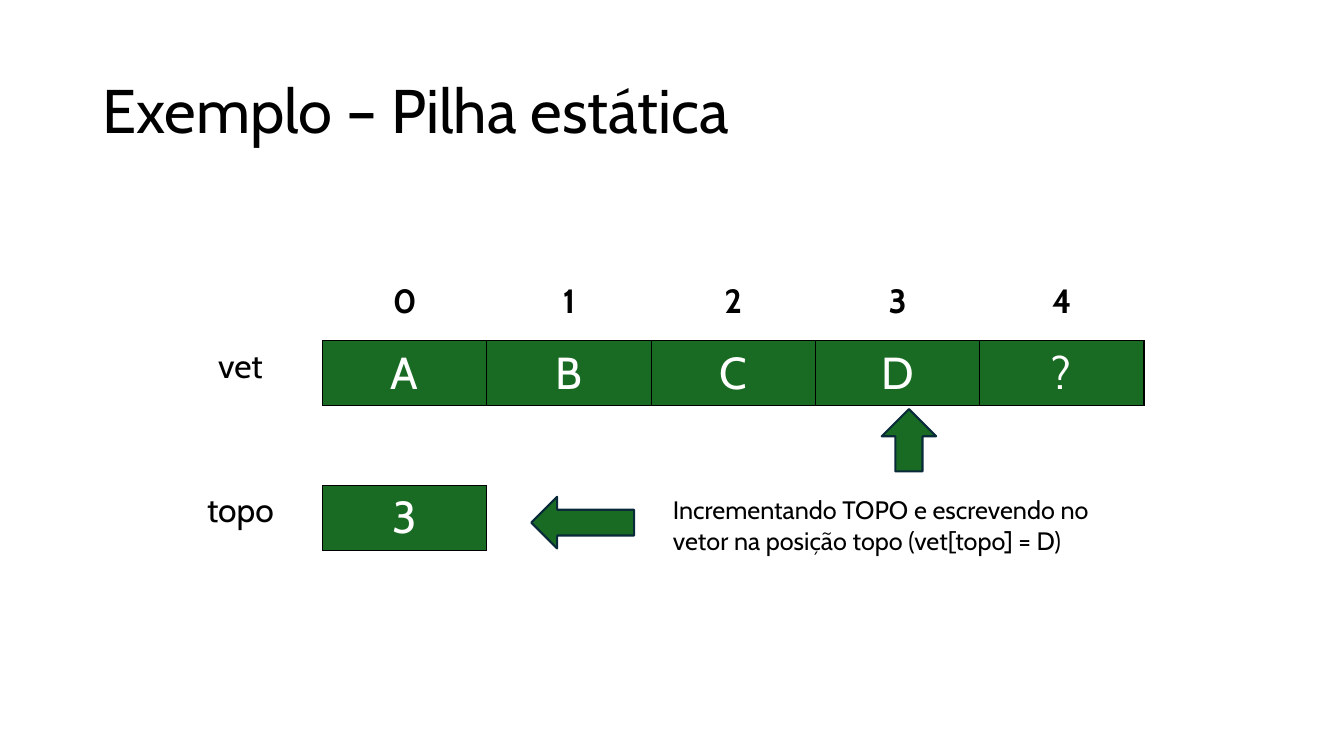
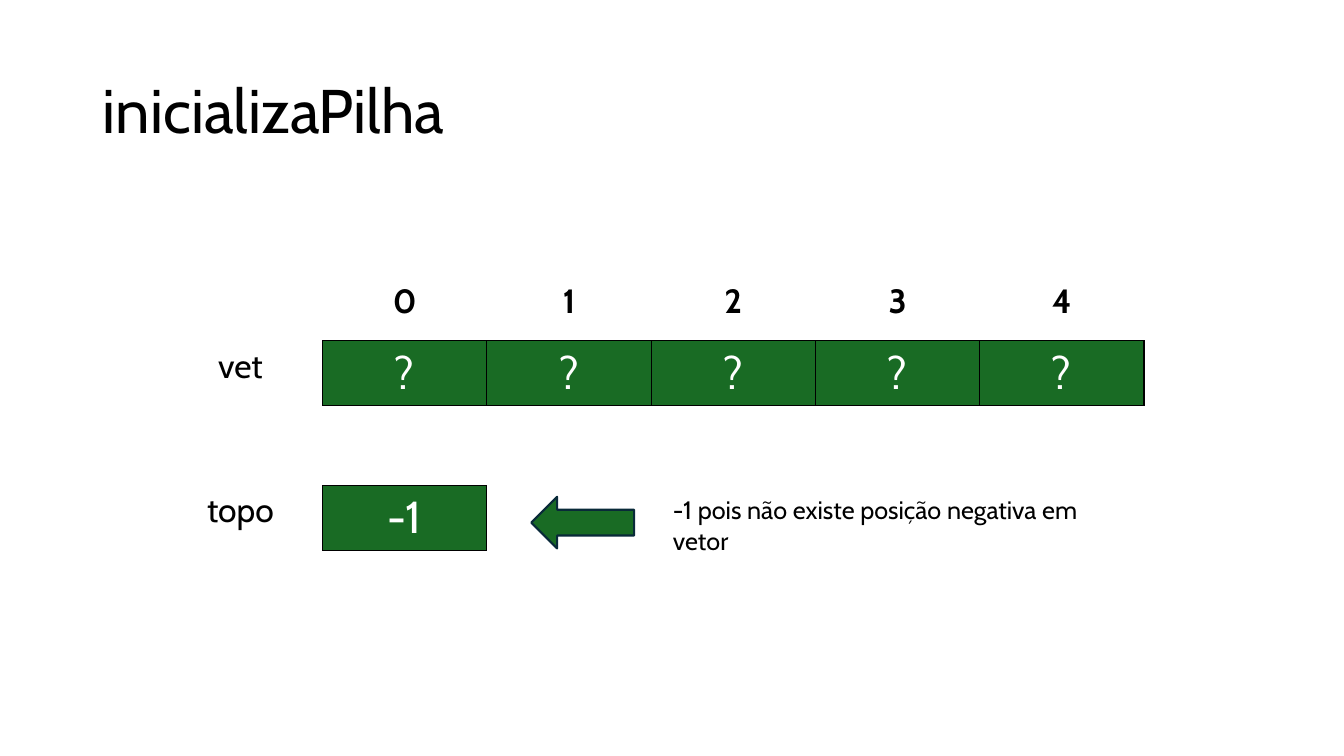
from lxml import etree
from pptx import Presentation
from pptx.dml.color import RGBColor
from pptx.enum.shapes import MSO_SHAPE
from pptx.enum.text import MSO_ANCHOR, MSO_AUTO_SIZE, PP_ALIGN
from pptx.oxml.ns import qn
from pptx.util import Cm, Pt

LEFT, CENTER = PP_ALIGN.LEFT, PP_ALIGN.CENTER
MIDDLE = MSO_ANCHOR.MIDDLE
LEFT_ARROW = MSO_SHAPE.LEFT_ARROW

# Shared style
FONT = "Cabin"
BLACK, WHITE, GREEN, NAVY = "000000", "FFFFFF", "196B24", "092A39"
TITLE_ONLY = 5
TABLE_LEFT = 3.99
COLUMN_WIDTH = 4.14
ROW_HEIGHT = 1.63


def color(hex_code):
    return RGBColor.from_string(hex_code)


def write_text(frame, text, size=24, font_color=BLACK, bold=False,
               align=LEFT, spacing=None):
    paragraph = frame.paragraphs[0]
    paragraph.alignment = align
    paragraph.line_spacing = spacing
    run = paragraph.add_run()
    run.text = text
    run.font.name = FONT
    run.font.size = Pt(size)
    run.font.bold = bold
    run.font.color.rgb = color(font_color)


def add_title(slide, text):
    title = slide.shapes.title
    title.left, title.top = Cm(2.33), Cm(1.02)
    title.width, title.height = Cm(29.21), Cm(3.68)
    frame = title.text_frame
    frame.word_wrap = True
    frame.auto_size = MSO_AUTO_SIZE.NONE
    frame.vertical_anchor = MIDDLE
    write_text(frame, text, size=44, spacing=0.9)


# Tables
def set_borders(cell, sides, width):
    """Draw black lines on the given sides; sides is a subset of 'LRTB'."""
    properties = cell._tc.get_or_add_tcPr()
    for position, side in enumerate(sides):
        line = etree.Element(qn(f"a:ln{side}"), w=str(Pt(width)))
        fill = etree.SubElement(line, qn("a:solidFill"))
        etree.SubElement(fill, qn("a:srgbClr"), val=BLACK)
        properties.insert(position, line)


def add_plain_table(slide, top, rows, columns):
    table = slide.shapes.add_table(
        rows, columns, Cm(TABLE_LEFT), Cm(top),
        Cm(COLUMN_WIDTH * columns), Cm(ROW_HEIGHT * rows)).table
    table.first_row = table.horz_banding = False
    for column in table.columns:
        column.width = Cm(COLUMN_WIDTH)
    for row in table.rows:
        row.height = Cm(ROW_HEIGHT)
    return table


def fill_cell(cell, text="", sides="", border=1, fill=None, **text_format):
    if fill:
        cell.fill.solid()
        cell.fill.fore_color.rgb = color(fill)
    else:
        cell.fill.background()
    set_borders(cell, sides, border)
    if text:
        write_text(cell.text_frame, text, align=CENTER, **text_format)


def fill_labelled_row(table, row, label, values, border):
    fill_cell(table.cell(row, 0), label, sides="R", border=border)
    for column, value in enumerate(values, start=1):
        fill_cell(table.cell(row, column), value, sides="LRTB", border=border,
                  fill=GREEN, size=32, font_color=WHITE)


def add_vector(slide, values):
    table = add_plain_table(slide, 6.96, 2, len(values) + 1)
    fill_cell(table.cell(0, 0))
    for index in range(len(values)):
        fill_cell(table.cell(0, index + 1), str(index), sides="B", bold=True)
    fill_labelled_row(table, 1, "vet", values, border=1)


def add_top_index(slide, value):
    table = add_plain_table(slide, 12.24, 1, 2)
    fill_labelled_row(table, 0, "topo", [value], border=0.75)
    for cell in table.iter_cells():
        cell.margin_left = cell.margin_right = Cm(0.18)
        cell.margin_top = cell.margin_bottom = Cm(0.1)


# Arrows and explanation
def add_arrow(slide, left, top, width, height, rotation=0):
    arrow = slide.shapes.add_shape(
        LEFT_ARROW, Cm(left), Cm(top), Cm(width), Cm(height))
    arrow.rotation = rotation
    arrow.shadow.inherit = False
    arrow.fill.solid()
    arrow.fill.fore_color.rgb = color(GREEN)
    arrow.line.color.rgb = color(NAVY)
    arrow.line.width = Pt(1.5)


def add_explanation(slide, text):
    box = slide.shapes.add_textbox(Cm(16.71), Cm(12.34), Cm(11.28), Cm(1.8))
    box.text_frame.word_wrap = True
    write_text(box.text_frame, text, size=18)


def add_stack_slide(presentation, title, values, top_index, explanation):
    slide = presentation.slides.add_slide(
        presentation.slide_layouts[TITLE_ONLY])
    add_title(slide, title)
    add_vector(slide, values)
    add_top_index(slide, top_index)
    add_arrow(slide, 13.39, 12.52, 2.59, 1.3)
    add_explanation(slide, explanation)
    return slide


def main():
    presentation = Presentation()
    presentation.slide_width, presentation.slide_height = Cm(33.87), Cm(19.05)

    # Slide 1: a value is pushed
    push_slide = add_stack_slide(
        presentation, "Exemplo – Pilha estática", "ABCD?", "3",
        "Incrementando TOPO e escrevendo no vetor na posição topo "
        "(vet[topo] = D)")
    add_arrow(push_slide, 22.12, 10.41, 1.57, 1.37, rotation=90)

    # Slide 2: the empty stack
    add_stack_slide(
        presentation, "inicializaPilha", "?????", "-1",
        "-1 pois não existe posição negativa em vetor")

    presentation.save("out.pptx")


if __name__ == "__main__":
    main()
